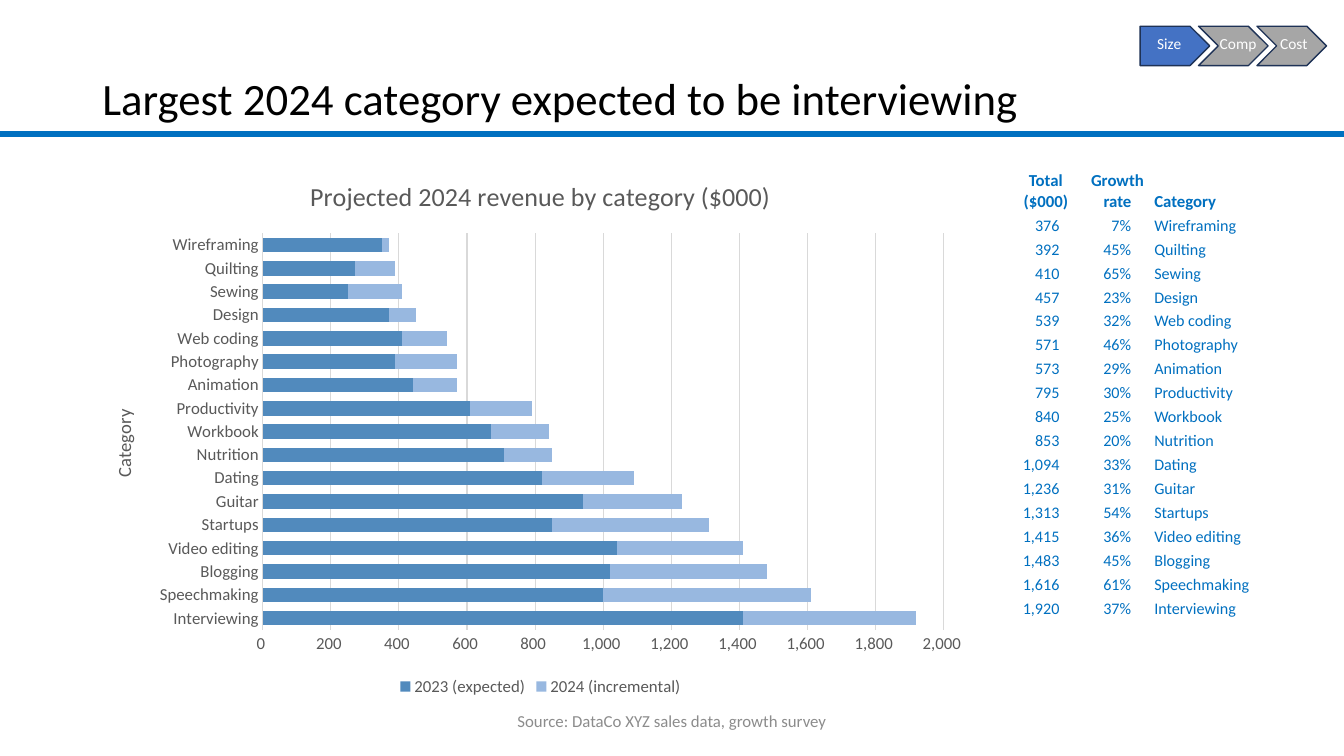
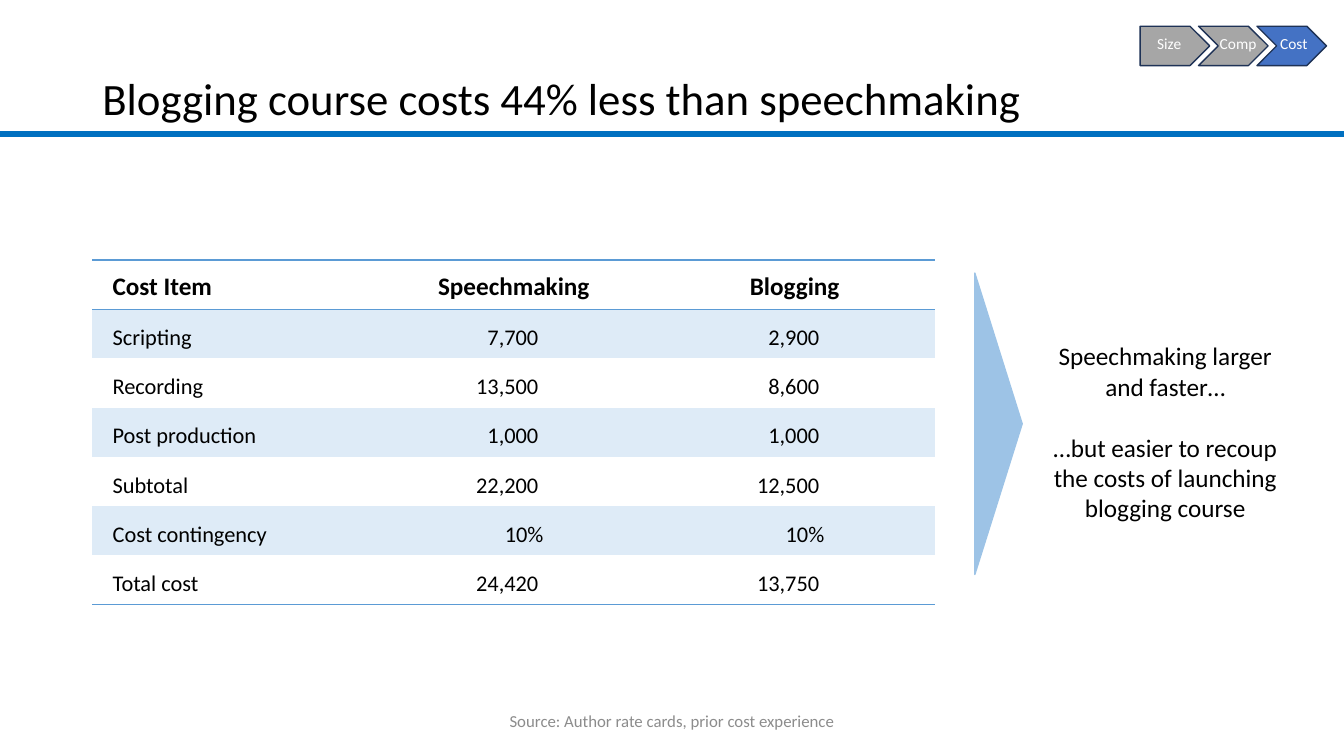
import dataclasses

import pptx
import pptx.chart.data
import pptx.dml.color
import pptx.enum.chart
import pptx.enum.shapes
import pptx.enum.text
import pptx.oxml
import pptx.oxml.ns
import pptx.util

CATEGORY_FIELDS = ("Total ($000)", "Growth rate", "Category")
CATEGORIES = [
    ("Wireframing", "376", "7%", 350, 20),
    ("Quilting", "392", "45%", 270, 120),
    ("Sewing", "410", "65%", 250, 160),
    ("Design", "457", "23%", 370, 80),
    ("Web coding", "539", "32%", 410, 130),
    ("Photography", "571", "46%", 390, 180),
    ("Animation", "573", "29%", 440, 130),
    ("Productivity", "795", "30%", 610, 180),
    ("Workbook", "840", "25%", 670, 170),
    ("Nutrition", "853", "20%", 710, 140),
    ("Dating", "1,094", "33%", 820, 270),
    ("Guitar", "1,236", "31%", 940, 290),
    ("Startups", "1,313", "54%", 850, 460),
    ("Video editing", "1,415", "36%", 1040, 370),
    ("Blogging", "1,483", "45%", 1020, 460),
    ("Speechmaking", "1,616", "61%", 1000, 610),
    ("Interviewing", "1,920", "37%", 1410, 510),
]
COSTS = [
    ("Cost Item", "Speechmaking", "Blogging"),
    ("Scripting", "7,700", "2,900"),
    ("Recording", "13,500", "8,600"),
    ("Post production", "1,000", "1,000"),
    ("Subtotal", "22,200", "12,500"),
    ("Cost contingency", "10%", "10%"),
    ("Total cost", "24,420", "13,750"),
]
CONCLUSIONS = [
    "Speechmaking larger and faster…",
    "…but easier to recoup the costs of launching blogging course",
]
STEPS = [("Size", 86.1, 2.55), ("Comp", 90.75, 2.85), ("Cost", 95.25, 3.68)]
SIZE_SLIDE = ("Largest 2024 category expected to be interviewing",
              "Source: DataCo XYZ sales data, growth survey", "Size")
COST_SLIDE = ("Blogging course costs 44% less than speechmaking",
              "Source: Author rate cards, prior cost experience", "Cost")
SERIES_NAMES = ("2023 (expected)", "2024 (incremental)")
CHART_TITLE = "Projected 2024 revenue by category ($000)"


@dataclasses.dataclass(frozen=True)
class Theme:
    font: str = "Calibri"
    ink: str = "000000"
    accent: str = "0070C0"
    source: str = "8C8C8C"
    chart_text: str = "595959"
    grid: str = "D9D9D9"
    series: tuple = ("518ABD", "98B8E0")
    step_on: str = "4472C4"
    step_off: str = "A6A6A6"
    step_line: str = "1E3256"
    step_text: str = "FFFFFF"
    rule: str = "5B9BD5"
    band: str = "DEEBF7"
    pointer: str = "9DC3E6"
    title_size: float = 32
    chart_title_size: float = 18.6
    axis_title_size: float = 13.3
    heading_size: float = 18
    body_size: float = 16
    small_size: float = 12
    data_size: float = 11.5
    step_size: float = 11


THEME = Theme()
Align = pptx.enum.text.PP_ALIGN
Anchor = pptx.enum.text.MSO_ANCHOR
Preset = pptx.enum.shapes.MSO_SHAPE
qn = pptx.oxml.ns.qn
PLAIN_TABLE = "{2D5ABB26-0587-4C30-8999-92F81FD0307C}"
DRAWING = 'xmlns:a="http://schemas.openxmlformats.org/drawingml/2006/main"'
CHARTING = 'xmlns:c="http://schemas.openxmlformats.org/drawingml/2006/chart"'

presentation = pptx.Presentation()
presentation.slide_width = pptx.util.Inches(40 / 3)
presentation.slide_height = pptx.util.Inches(7.5)


def across(percent):
    return round(presentation.slide_width * percent / 100)


def down(percent):
    return round(presentation.slide_height * percent / 100)


def place(left, top, width, height):
    return across(left), down(top), across(width), down(height)


def assign(target, values):
    for name, value in values.items():
        setattr(target, name, value)


def rgb(color):
    return pptx.dml.color.RGBColor.from_string(color)


def style_font(font, size, color, bold=False):
    assign(font, {"name": THEME.font, "size": pptx.util.Pt(size), "bold": bold})
    font.color.rgb = rgb(color)


def style_line(line, color, width):
    line.color.rgb = rgb(color)
    line.width = pptx.util.Pt(width)


def paint(fill, color):
    if color is None:
        fill.background()
    else:
        fill.solid()
        fill.fore_color.rgb = rgb(color)


def margins(left, top, right, bottom):
    sides = {"left": left, "top": top, "right": right, "bottom": bottom}
    return {f"margin_{side}": pptx.util.Inches(inset) for side, inset in sides.items()}


def add_text(slide, frame, lines, size, color, frame_format=None, paragraph_format=None, gap=0):
    text_frame = slide.shapes.add_textbox(*place(*frame)).text_frame
    assign(text_frame, {"word_wrap": True, **(frame_format or {})})
    for index, line in enumerate(lines):
        paragraph = text_frame.add_paragraph() if index else text_frame.paragraphs[0]
        assign(paragraph, paragraph_format or {})
        if index:
            paragraph.space_before = pptx.util.Pt(gap)
        run = paragraph.add_run()
        run.text = line
        style_font(run.font, size, color)


def add_shape(slide, preset, frame, fill, line, rotation=0):
    shape = slide.shapes.add_shape(preset, *place(*frame))
    shape.shadow.inherit = False
    shape.rotation = rotation
    paint(shape.fill, fill)
    style_line(shape.line, line, 1)


def add_steps(slide, current):
    for index, (name, _, _) in enumerate(STEPS):
        add_shape(slide, Preset.CHEVRON if index else Preset.PENTAGON,
                  (84.83 + 4.35 * index, 3.47, 5.18, 5.2),
                  THEME.step_on if name == current else THEME.step_off, THEME.step_line)
    for name, left, width in STEPS:
        add_text(slide, (left, 4.53, width, 3.07), [name], THEME.step_size,
                 THEME.step_text, {**margins(0, 0, 0, 0), "word_wrap": False})


def add_slide(title, source, current):
    slide = presentation.slides.add_slide(presentation.slide_layouts[6])
    rule = slide.shapes.add_connector(pptx.enum.shapes.MSO_CONNECTOR.STRAIGHT,
                                      0, down(17.73), across(100), down(17.73))
    style_line(rule.line, THEME.accent, 4.5)
    rule.element.spPr.append(pptx.oxml.parse_xml(f"<a:effectLst {DRAWING}/>"))
    add_text(slide, (6.88, 5.47, 86.25, 11.73), [title], THEME.title_size, THEME.ink,
             {"vertical_anchor": Anchor.BOTTOM}, {"line_spacing": 0.9})
    add_text(slide, (33.13, 92.67, 33.75, 5.33), [source], THEME.small_size, THEME.source,
             {"vertical_anchor": Anchor.MIDDLE}, {"alignment": Align.CENTER})
    add_steps(slide, current)
    return slide


def add_table(slide, left, top, widths, heights, rows, style_cell):
    frame = slide.shapes.add_table(len(rows), len(widths),
                                   *place(left, top, sum(widths), sum(heights)))
    frame.element.find(".//" + qn("a:tableStyleId")).text = PLAIN_TABLE
    table = frame.table
    assign(table, {"first_row": False, "horz_banding": False})
    for column, width in zip(table.columns, widths):
        column.width = across(width)
    for row, height in zip(table.rows, heights):
        row.height = down(height)
    for row_index, values in enumerate(rows):
        for column_index, text in enumerate(values):
            cell = table.cell(row_index, column_index)
            style = style_cell(row_index, column_index, text)
            assign(cell, {"vertical_anchor": Anchor.BOTTOM, **margins(*style["insets"])})
            paint(cell.fill, style.get("fill"))
            paragraph = cell.text_frame.paragraphs[0]
            paragraph.alignment = style["alignment"]
            run = paragraph.add_run()
            run.text = text
            style_font(run.font, *style["font"])
            for edge in style.get("edges", ()):
                add_border(cell, edge)


def add_border(cell, edge):
    border = pptx.oxml.parse_xml(
        f'<a:{edge} {DRAWING} w="12700"><a:solidFill><a:srgbClr val="{THEME.rule}"/>'
        f"</a:solidFill></a:{edge}>")
    cell._tc.get_or_add_tcPr().insert(0, border)


def style_category(row, column, text):
    header, number = row == 0, column < 2
    return {
        "insets": (0.01, 0.01, 0.22 if number and not header else 0.01, 0),
        "alignment": Align.LEFT if not number else Align.CENTER if header else Align.RIGHT,
        "font": (THEME.small_size if header else THEME.data_size, THEME.accent, header),
    }


def style_cost(row, column, text):
    header, label = row == 0, column == 0
    number_inset = 1.1 if text.endswith("%") else 1.15
    return {
        "insets": (0.2 if label else 0.01, 0.01,
                   0.01 if header or label else number_inset, 0.07),
        "alignment": Align.LEFT if label else Align.CENTER if header else Align.RIGHT,
        "font": (THEME.heading_size if header else THEME.body_size, THEME.ink, header),
        "fill": THEME.band if row % 2 else None,
        "edges": ("lnB", "lnT") if header else ("lnB",) if row == len(COSTS) - 1 else (),
    }


def set_title(owner, text, size):
    owner.text_frame.text = text
    style_font(owner.text_frame.paragraphs[0].runs[0].font, size, THEME.chart_text)


def add_revenue_chart(slide):
    bars = CATEGORIES[::-1]
    chart_data = pptx.chart.data.CategoryChartData()
    chart_data.categories = [bar[0] for bar in bars]
    for offset, name in enumerate(SERIES_NAMES, 3):
        chart_data.add_series(name, [bar[offset] for bar in bars])
    chart = slide.shapes.add_chart(pptx.enum.chart.XL_CHART_TYPE.BAR_STACKED,
                                   *place(6.88, 20.8, 66.68, 71.87), chart_data).chart
    style_font(chart.font, THEME.small_size, THEME.chart_text)
    set_title(chart.chart_title, CHART_TITLE, THEME.chart_title_size)
    chart.has_legend = True
    assign(chart.legend, {"position": pptx.enum.chart.XL_LEGEND_POSITION.BOTTOM,
                          "include_in_layout": False})
    style_font(chart.legend.font, THEME.small_size, THEME.chart_text)
    plot = chart.plots[0]
    assign(plot, {"gap_width": 60, "overlap": 100, "vary_by_categories": False})
    for series, color in zip(plot.series, THEME.series):
        paint(series.format.fill, color)
    category_axis, value_axis = chart.category_axis, chart.value_axis
    for axis in (category_axis, value_axis):
        axis.major_tick_mark = pptx.enum.chart.XL_TICK_MARK.NONE
        style_font(axis.tick_labels.font, THEME.small_size, THEME.chart_text)
    set_title(category_axis.axis_title, "Category", THEME.axis_title_size)
    style_line(category_axis.format.line, THEME.grid, 0.75)
    assign(value_axis, {"minimum_scale": 0, "maximum_scale": 2000, "major_unit": 200,
                        "has_major_gridlines": True})
    assign(value_axis.tick_labels, {"number_format": r"#,##0_);\(#,##0\)",
                                    "number_format_is_linked": False})
    value_axis.format.line.fill.background()
    style_line(value_axis.major_gridlines.format.line, THEME.grid, 0.75)
    set_plot_area(chart, {"x": 0.19, "y": 0.14, "w": 0.76, "h": 0.73})


def set_plot_area(chart, shares):
    plot_area = chart.element.find(".//" + qn("c:plotArea"))
    for layout in plot_area.findall(qn("c:layout")):
        plot_area.remove(layout)
    sizes = "".join(f'<c:{name} val="{share}"/>' for name, share in shares.items())
    plot_area.insert(0, pptx.oxml.parse_xml(
        f'<c:layout {CHARTING}><c:manualLayout><c:layoutTarget val="inner"/>'
        f'<c:xMode val="edge"/><c:yMode val="edge"/>{sizes}</c:manualLayout></c:layout>'))


size_slide = add_slide(*SIZE_SLIDE)
add_revenue_chart(size_slide)
category_rows = [CATEGORY_FIELDS] + [(total, growth, name)
                                     for name, total, growth, *_ in CATEGORIES]
add_table(size_slide, 75.15, 18.53, (5.33, 5.33, 8.25),
          [9.47] + [3.17] * len(CATEGORIES), category_rows, style_category)

cost_slide = add_slide(*COST_SLIDE)
add_table(cost_slide, 6.88, 34.4, [20.9] * 3, [6.51] * len(COSTS), COSTS, style_cost)
add_text(cost_slide, (77.48, 44.4, 18.45, 25.6), CONCLUSIONS, THEME.heading_size, THEME.ink,
         paragraph_format={"alignment": Align.CENTER}, gap=22)
add_shape(cost_slide, Preset.ISOSCELES_TRIANGLE, (63.08, 52.93, 22.43, 6.27),
          THEME.pointer, THEME.pointer, rotation=90)

presentation.save("out.pptx")
